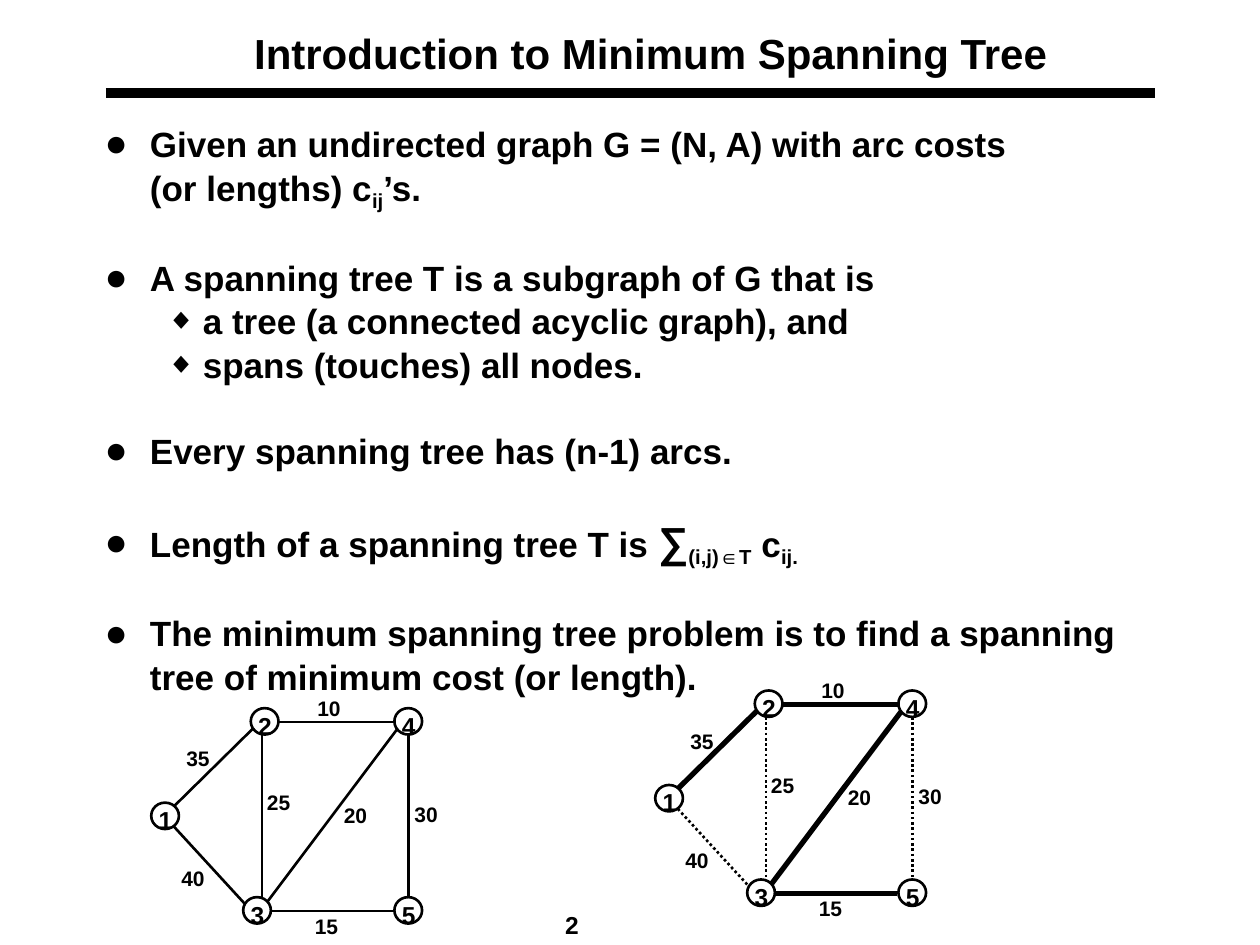
from dataclasses import dataclass
from typing import NamedTuple

from lxml import etree
from pptx import Presentation
from pptx import util as u
from pptx.dml.color import RGBColor
from pptx.enum import dml, shapes, text
from pptx.oxml.ns import qn


@dataclass(frozen=True)
class Theme:
    font: str = "Arial"
    ink: RGBColor = RGBColor(0, 0, 0)
    paper: RGBColor = RGBColor(255, 255, 255)
    title: int = 24
    body: int = 20
    sigma: int = 24
    node: int = 14
    cost: int = 12
    thin: float = 1.5
    thick: float = 3
    rule: float = 6


THEME = Theme()


class Phrase(NamedTuple):
    words: str
    size: int = THEME.body
    baseline: int = 0


class Bullet(NamedTuple):
    char: str
    percent: int
    margin: float
    hanging: float
    level: int


class Point(NamedTuple):
    bullet: Bullet
    phrases: list[Phrase]
    gap: int = 0


class Node(NamedTuple):
    number: str
    left: float
    top: float


class Arc(NamedTuple):
    start: tuple[float, float]
    end: tuple[float, float]
    cost: str
    cost_at: tuple[float, float]
    in_tree: bool


SUB = -20
GAP = 24
DISC = Bullet("●", 110, 0.36, 0.36, 0)
DIAMOND = Bullet("◆", 84, 0.78, 0.29, 1)

POINTS = [
    Point(DISC, [Phrase("Given an undirected graph G = (N, A) with arc costs \n(or lengths) c"),
                 Phrase("ij", baseline=SUB), Phrase("’s.")]),
    Point(DISC, [Phrase("A spanning tree T is a subgraph of G that is")], GAP),
    Point(DIAMOND, [Phrase("a tree (a connected acyclic graph), and")]),
    Point(DIAMOND, [Phrase("spans (touches) all nodes.")]),
    Point(DISC, [Phrase("Every spanning tree has (n-1) arcs.")], GAP),
    Point(DISC, [Phrase("Length of a spanning tree T is "), Phrase("∑", THEME.sigma),
                 Phrase("(i,j)∈T", baseline=SUB), Phrase(" c"),
                 Phrase("ij.", baseline=SUB)], GAP),
    Point(DISC, [Phrase("The minimum spanning tree problem is to find a spanning "
                        "tree of minimum cost (or length).")], GAP),
]

NODES = [Node("1", 1.2, 6.37), Node("2", 1.99, 5.62), Node("4", 3.13, 5.62),
         Node("5", 3.13, 7.12), Node("3", 1.93, 7.12)]
ARCS = [
    Arc((1.38, 6.4), (2.01, 5.78), "35", (1.38, 5.87), True),
    Arc((2.21, 5.73), (3.14, 5.73), "10", (2.42, 5.47), True),
    Arc((2.15, 7.23), (3.12, 7.23), "15", (2.4, 7.2), True),
    Arc((3.24, 5.83), (3.24, 7.11), "30", (3.19, 6.31), False),
    Arc((2.08, 5.83), (2.08, 7.13), "25", (2.02, 6.22), False),
    Arc((1.38, 6.56), (1.94, 7.17), "40", (1.34, 6.82), False),
    Arc((3.15, 5.79), (2.12, 7.16), "20", (2.63, 6.32), True),
]


def write(paragraph, words: str, *, size: int, baseline: int = 0, align=None) -> None:
    """Add bold text to a paragraph; a newline becomes a line break."""
    if align is not None:
        paragraph.alignment = align
    for index, line in enumerate(words.split("\n")):
        if index:
            paragraph.add_line_break()
            line_break = paragraph._p.findall(qn("a:br"))[-1]
            etree.SubElement(line_break, qn("a:rPr"), sz=str(size * 100))
        run = paragraph.add_run()
        run.text = line
        run.font.name, run.font.size, run.font.bold = THEME.font, u.Pt(size), True
        run.font.color.rgb = THEME.ink
        if baseline:
            run.font._element.set("baseline", str(baseline * 1000))


def place(holder, left: float, top: float, width: float, height: float) -> None:
    holder.left, holder.top = u.Inches(left), u.Inches(top)
    holder.width, holder.height = u.Inches(width), u.Inches(height)


def set_bullet(paragraph, bullet: Bullet) -> None:
    paragraph.level = bullet.level
    props = paragraph._p.get_or_add_pPr()
    props.set("marL", str(u.Inches(bullet.margin)))
    props.set("indent", str(-u.Inches(bullet.hanging)))
    colour = etree.SubElement(props, qn("a:buClr"))
    etree.SubElement(colour, qn("a:srgbClr"), val=str(THEME.ink))
    etree.SubElement(props, qn("a:buSzPct"), val=str(bullet.percent * 1000))
    etree.SubElement(props, qn("a:buFont"), typeface=THEME.font)
    etree.SubElement(props, qn("a:buChar"), char=bullet.char)


def draw_line(canvas, start, end, *, weight: float, dotted: bool = False) -> None:
    line = canvas.add_connector(shapes.MSO_CONNECTOR.STRAIGHT,
                                *(u.Inches(v) for v in (*start, *end)))
    line.line.color.rgb, line.line.width = THEME.ink, u.Pt(weight)
    if dotted:
        line.line.dash_style = dml.MSO_LINE.ROUND_DOT
    etree.SubElement(line._element.spPr, qn("a:effectLst"))


def draw_label(canvas, words: str, left: float, top: float, width: float, height: float,
               *, size: int, align=None) -> None:
    label = canvas.add_textbox(*(u.Inches(v) for v in (left, top, width, height)))
    label.text_frame.word_wrap = False
    write(label.text_frame.paragraphs[0], words, size=size, align=align)


def draw_graph(canvas, *, dx: float = 0, dy: float = 0, show_tree: bool = False) -> None:
    """Draw the five-node graph, with the minimum spanning tree thick if wanted."""
    for node in NODES:
        circle = canvas.add_shape(shapes.MSO_SHAPE.OVAL, u.Inches(node.left + dx),
                                  u.Inches(node.top + dy), u.Inches(0.22), u.Inches(0.21))
        circle.shadow.inherit = False
        circle.fill.solid()
        circle.fill.fore_color.rgb = THEME.paper
        circle.line.color.rgb, circle.line.width = THEME.ink, u.Pt(THEME.thin)
    for arc in ARCS:
        start, end = ((x + dx, y + dy) for x, y in (arc.start, arc.end))
        draw_line(canvas, start, end, dotted=show_tree and not arc.in_tree,
                  weight=THEME.thick if show_tree and arc.in_tree else THEME.thin)
    for arc in ARCS:
        left, top = arc.cost_at
        draw_label(canvas, arc.cost, left + dx, top + dy, 0.42, 0.3, size=THEME.cost)
    for node in NODES:
        draw_label(canvas, node.number, node.left + dx - 0.04, node.top + dy - 0.03,
                   0.31, 0.34, size=THEME.node)


def main() -> None:
    deck = Presentation()
    deck.slide_width, deck.slide_height = u.Inches(10), u.Inches(7.5)
    slide = deck.slides.add_slide(deck.slide_layouts[1])

    # Title and rule
    draw_line(slide.shapes, (0.84, 0.74), (9.17, 0.74), weight=THEME.rule)
    title = slide.shapes.title
    place(title, 0.73, 0.23, 8.87, 0.37)
    title.text_frame.auto_size = text.MSO_AUTO_SIZE.NONE
    title.text_frame.vertical_anchor = text.MSO_ANCHOR.MIDDLE
    write(title.text_frame.paragraphs[0], "Introduction to Minimum Spanning Tree",
          size=THEME.title, align=text.PP_ALIGN.CENTER)

    # Bulleted points
    body = slide.placeholders[1]
    place(body, 0.73, 0.91, 8.5, 4.77)
    frame = body.text_frame
    frame.auto_size = text.MSO_AUTO_SIZE.NONE
    for index, point in enumerate(POINTS):
        paragraph = frame.add_paragraph() if index else frame.paragraphs[0]
        set_bullet(paragraph, point.bullet)
        paragraph.line_spacing, paragraph.space_before = 1.04, u.Pt(point.gap)
        for phrase in point.phrases:
            write(paragraph, phrase.words, size=phrase.size, baseline=phrase.baseline)

    # The graph, and the same graph with its minimum spanning tree
    draw_graph(slide.shapes.add_group_shape().shapes)
    draw_graph(slide.shapes, dx=4, dy=-0.14, show_tree=True)

    # Page number
    draw_label(slide.shapes, "2", 3.5, 7.17, 2.08, 0.25,
               size=THEME.node, align=text.PP_ALIGN.CENTER)
    deck.save("out.pptx")


if __name__ == "__main__":
    main()
